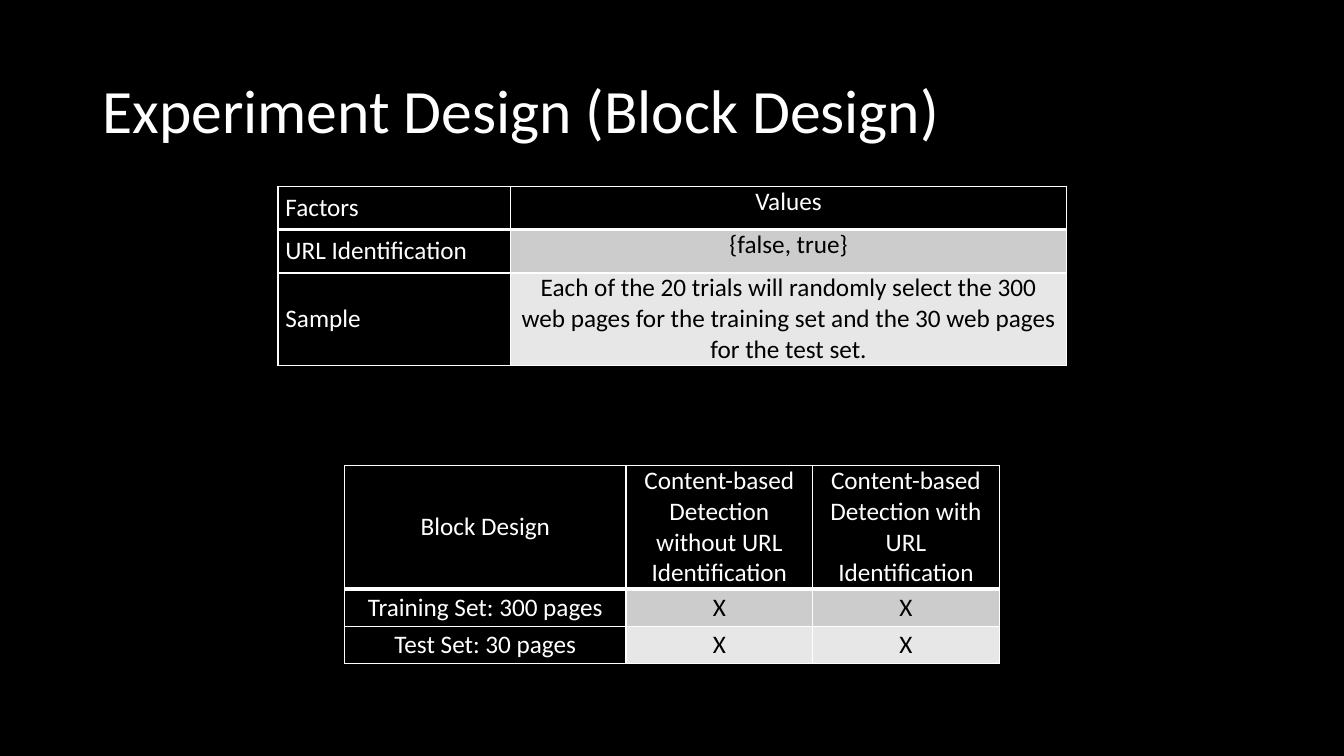
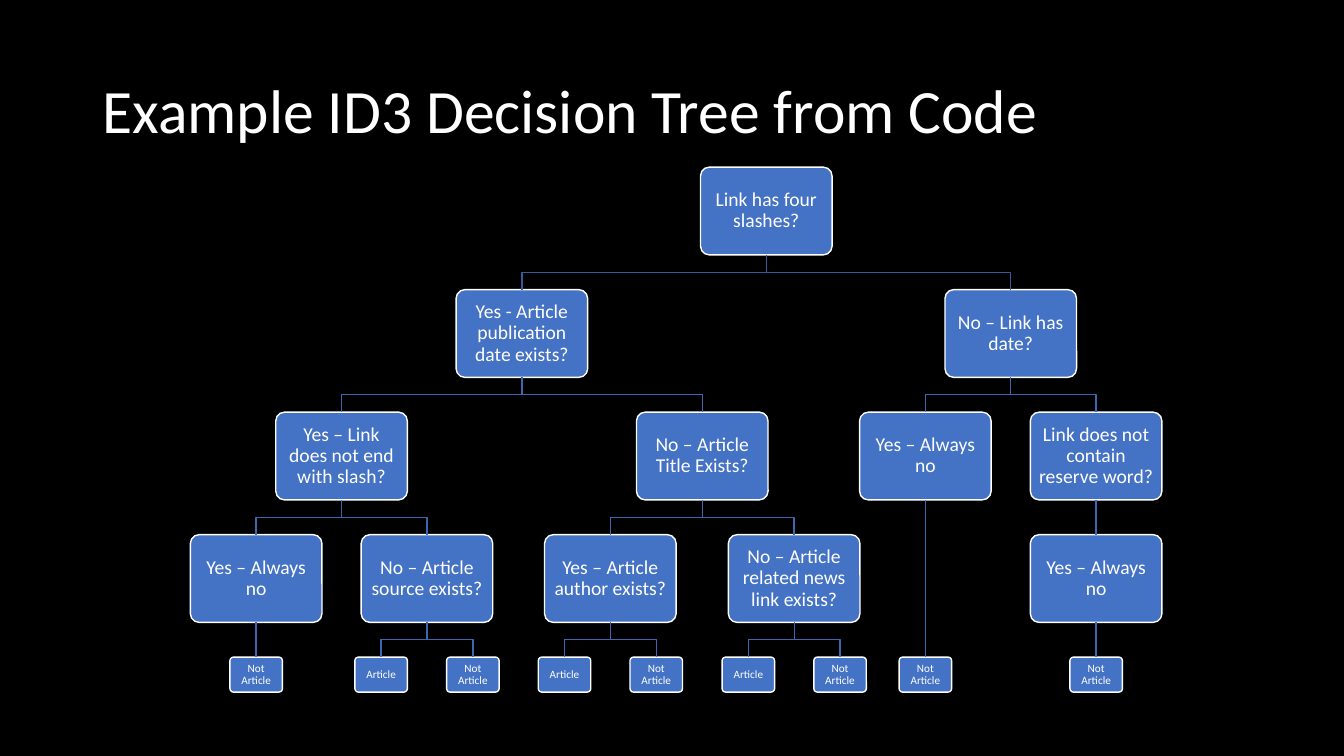
from dataclasses import dataclass
from typing import Any

import lxml.etree
import pptx
import pptx.dml.color
import pptx.enum.shapes
import pptx.enum.text
import pptx.oxml.ns
import pptx.util

Pt = pptx.util.Pt
qn = pptx.oxml.ns.qn
ALIGN = pptx.enum.text.PP_ALIGN
ANCHOR = pptx.enum.text.MSO_ANCHOR

COLOURS = {
    "black": "000000",
    "white": "FFFFFF",
    "dark_band": "CCCCCC",
    "light_band": "E7E7E7",
    "node": "4472C4",
    "root_branch": "365B9D",
    "branch": "3E67B2",
}
FONT = "Calibri"
TITLE_ONLY = 5
TREE_TOP, LEVEL_STEP, LEAF_LEVEL = 119.4, 87.5, 4
PAIR_OFFSET = 32.75


@dataclass(frozen=True)
class TableSpec:
    left: float
    top: float
    widths: tuple[float, ...]
    heights: tuple[float, ...]
    rows: tuple[tuple[str, ...], ...]
    label_align: Any
    value_anchor: Any


@dataclass(frozen=True)
class Node:
    text: str
    children: tuple["Node", ...] = ()
    leaf_center: float = 0

    @property
    def center(self) -> float:
        if not self.children:
            return self.leaf_center
        return sum(child.center for child in self.children) / len(self.children)


@dataclass(frozen=True)
class NodeStyle:
    width: float
    height: float
    size: float
    inset: float


QUESTION = NodeStyle(94, 62.7, 14, 4)
LEAF = NodeStyle(37.5, 25, 8, 2)

FACTORS = TableSpec(
    198.5, 133, (166.3, 397), (31, 31, 60.5),
    (
        ("Factors", "Values"),
        ("URL Identification", "{false, true}"),
        ("Sample", "Each of the 20 trials will randomly select the 300 web pages "
                   "for the training set and the 30 web pages for the test set."),
    ),
    ALIGN.LEFT, ANCHOR.TOP,
)
BLOCKS = TableSpec(
    246.2, 332.4, (201, 133.3, 133.3), (88.4, 26.7, 26.7),
    (
        ("Block Design", "Content-based Detection without URL Identification",
         "Content-based Detection with URL Identification"),
        ("Training Set: 300 pages", "X", "X"),
        ("Test Set: 30 pages", "X", "X"),
    ),
    ALIGN.CENTER, ANCHOR.MIDDLE,
)


def always_no(center: float) -> Node:
    return Node("Yes – Always no", (Node("Not Article", leaf_center=center),))


def article_pair(question: str, center: float) -> Node:
    return Node(question, (
        Node("Article", leaf_center=center - PAIR_OFFSET),
        Node("Not Article", leaf_center=center + PAIR_OFFSET),
    ))


DECISION_TREE = Node("Link has four slashes?", (
    Node("Yes - Article publication date exists?", (
        Node("Yes – Link does not end with slash?", (
            always_no(183),
            article_pair("No – Article source exists?", 305),
        )),
        Node("No – Article Title Exists?", (
            article_pair("Yes – Article author exists?", 436),
            article_pair("No – Article related news link exists?", 567.3),
        )),
    )),
    Node("No – Link has date?", (
        always_no(661),
        Node("Link does not contain reserve word?", (always_no(783),)),
    )),
))


def rgb(name: str) -> pptx.dml.color.RGBColor:
    return pptx.dml.color.RGBColor.from_string(COLOURS[name])


def write_text(frame: Any, text: str, *, size: float, colour: str = "white",
               align: Any = ALIGN.CENTER, spacing: float = 1.0) -> None:
    para = frame.paragraphs[0]
    para.alignment = align
    para.line_spacing = spacing
    span = para.add_run()
    span.text = text
    span.font.name = FONT
    span.font.size = Pt(size)
    span.font.color.rgb = rgb(colour)


def prepare_template(deck: Any) -> None:
    fill = deck.slide_master.background.fill
    fill.solid()
    fill.fore_color.rgb = rgb("black")
    title = deck.slide_layouts[TITLE_ONLY].placeholders[0]
    title.left, title.top = Pt(66), Pt(28.75)
    title.width, title.height = Pt(828), Pt(104.4)
    title.text_frame.vertical_anchor = ANCHOR.MIDDLE


def add_page(deck: Any, title: str) -> Any:
    page = deck.slides.add_slide(deck.slide_layouts[TITLE_ONLY])
    write_text(page.shapes.title.text_frame, title, size=44, align=ALIGN.LEFT, spacing=0.9)
    return page


def add_borders(cell: Any, bottom: float) -> None:
    properties = cell._tc.get_or_add_tcPr()
    for side, width in (("L", 1), ("R", 1), ("T", 1), ("B", bottom)):
        line = lxml.etree.SubElement(properties, qn(f"a:ln{side}"), w=str(Pt(width)))
        fill = lxml.etree.SubElement(line, qn("a:solidFill"))
        lxml.etree.SubElement(fill, qn("a:srgbClr"), val=COLOURS["white"])


def draw_table(page: Any, spec: TableSpec) -> None:
    frame = page.shapes.add_table(
        len(spec.heights), len(spec.widths), Pt(spec.left), Pt(spec.top),
        Pt(sum(spec.widths)), Pt(sum(spec.heights)))
    table = frame.table
    table.first_row = table.horz_banding = False
    for column, width in zip(table.columns, spec.widths):
        column.width = Pt(width)
    bands = ("black", "dark_band", "light_band")
    for row_index, texts in enumerate(spec.rows):
        table.rows[row_index].height = Pt(spec.heights[row_index])
        for column_index, text in enumerate(texts):
            is_label = column_index == 0
            band = "black" if is_label else bands[row_index]
            cell = table.cell(row_index, column_index)
            add_borders(cell, 3 if row_index == 0 else 1)
            cell.fill.solid()
            cell.fill.fore_color.rgb = rgb(band)
            cell.margin_left = cell.margin_right = Pt(5.4)
            cell.margin_top = cell.margin_bottom = 0
            cell.vertical_anchor = ANCHOR.MIDDLE if is_label else spec.value_anchor
            write_text(cell.text_frame, text, size=18,
                       colour="white" if band == "black" else "black",
                       align=spec.label_align if is_label else ALIGN.CENTER)


def draw_branch(page: Any, parent: Any, child: Any, colour: str) -> None:
    start_x = parent.left + parent.width // 2
    start_y = parent.top + parent.height
    end_x = child.left + child.width // 2
    if abs(start_x - end_x) < Pt(1):
        branch = page.shapes.add_connector(
            pptx.enum.shapes.MSO_CONNECTOR.STRAIGHT, start_x, start_y, end_x, child.top)
        branch.begin_connect(parent, 2)
        branch.end_connect(child, 0)
    else:
        bend_y = (start_y + child.top) // 2
        builder = page.shapes.build_freeform(start_x, start_y)
        builder.add_line_segments(
            [(start_x, bend_y), (end_x, bend_y), (end_x, child.top)], close=False)
        branch = builder.convert_to_shape()
        branch.fill.background()
    branch.line.color.rgb = rgb(colour)
    branch.line.width = Pt(1)
    if not branch._element.spPr.findall(qn("a:effectLst")):
        lxml.etree.SubElement(branch._element.spPr, qn("a:effectLst"))


def draw_node(page: Any, node: Node, level: int = 0) -> Any:
    style = QUESTION if node.children else LEAF
    row = level if node.children else LEAF_LEVEL
    box = page.shapes.add_shape(
        pptx.enum.shapes.MSO_SHAPE.ROUNDED_RECTANGLE,
        Pt(node.center - style.width / 2), Pt(TREE_TOP + row * LEVEL_STEP),
        Pt(style.width), Pt(style.height))
    box.adjustments[0] = 0.1
    box.shadow.inherit = False
    box.fill.solid()
    box.fill.fore_color.rgb = rgb("node")
    box.line.color.rgb = rgb("white")
    box.line.width = Pt(1)
    frame = box.text_frame
    frame.word_wrap = True
    frame.vertical_anchor = ANCHOR.MIDDLE
    frame.margin_left = frame.margin_right = Pt(style.inset)
    frame.margin_top = frame.margin_bottom = Pt(style.inset)
    write_text(frame, node.text, size=style.size, spacing=0.9)
    for child in node.children:
        child_box = draw_node(page, child, level + 1)
        draw_branch(page, box, child_box, "branch" if level else "root_branch")
    return box


def main() -> None:
    deck = pptx.Presentation()
    deck.slide_width, deck.slide_height = Pt(960), Pt(540)
    prepare_template(deck)
    design_page = add_page(deck, "Experiment Design (Block Design)")
    for spec in (FACTORS, BLOCKS):
        draw_table(design_page, spec)
    tree_page = add_page(deck, "Example ID3 Decision Tree from Code")
    draw_node(tree_page, DECISION_TREE)
    deck.save("out.pptx")


if __name__ == "__main__":
    main()
